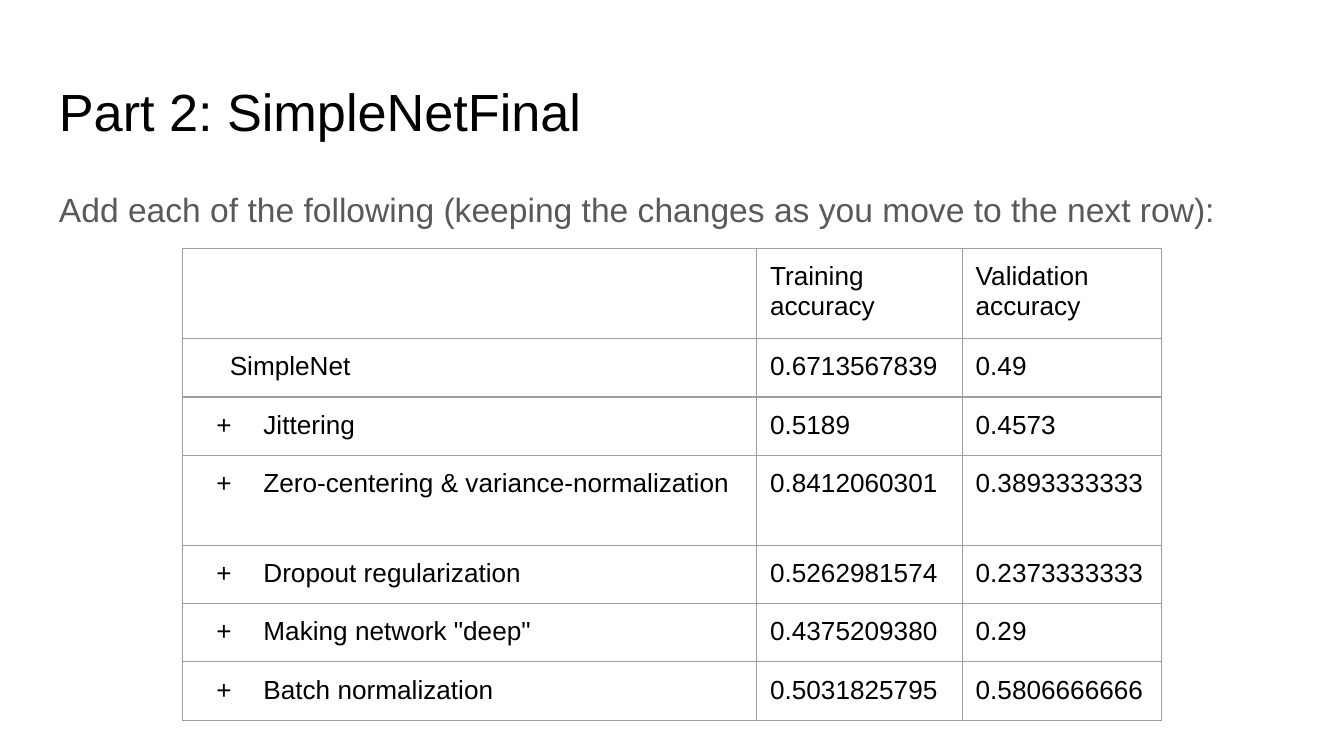
import lxml.etree
import pptx
import pptx.dml.color
import pptx.enum.text
import pptx.oxml.ns
import pptx.util

Inches = pptx.util.Inches
BLACK = pptx.dml.color.RGBColor(0x00, 0x00, 0x00)
GRAY = pptx.dml.color.RGBColor(0x59, 0x59, 0x59)
BORDER = pptx.dml.color.RGBColor(0x9E, 0x9E, 0x9E)

MARGINS = {f"margin_{side}": Inches(0.1) for side in ("left", "right", "top", "bottom")}
FRAME_FORMAT = {
    **MARGINS,
    "word_wrap": True,
    "vertical_anchor": pptx.enum.text.MSO_ANCHOR.TOP,
}
TITLE_FONT = {"name": "Arial", "size": pptx.util.Pt(28)}
BODY_FONT = {"name": "Arial", "size": pptx.util.Pt(18)}
CELL_FONT = {"name": "Arial", "size": pptx.util.Pt(14)}

SLIDE_WIDTH = 10
COLUMN_WIDTHS = [4.27, 1.53, 1.48]
ROW_HEIGHTS = [0.67, 0.43, 0.43, 0.67, 0.43, 0.42, 0.42]
HEADER = ("", "Training accuracy", "Validation accuracy")
BASELINE = ("SimpleNet", "0.6713567839", "0.49")
ADDITIONS = [
    ("Jittering", "0.5189", "0.4573"),
    ("Zero-centering & variance-normalization", "0.8412060301", "0.3893333333"),
    ("Dropout regularization", "0.5262981574", "0.2373333333"),
    ('Making network "deep"', "0.4375209380", "0.29"),
    ("Batch normalization", "0.5031825795", "0.5806666666"),
]


def apply_format(target, values):
    for name, value in values.items():
        setattr(target, name, value)


def add_child(parent, tag, **attributes):
    return lxml.etree.SubElement(parent, pptx.oxml.ns.qn(tag), attributes)


def write_text(paragraph, text, font, color):
    run = paragraph.add_run()
    run.text = text
    apply_format(run.font, font)
    run.font.color.rgb = color


def add_text(slide, text, box, font, color, line_spacing=1.0):
    shape = slide.shapes.add_textbox(*(Inches(length) for length in box))
    apply_format(shape.text_frame, FRAME_FORMAT)
    paragraph = shape.text_frame.paragraphs[0]
    paragraph.line_spacing = line_spacing
    write_text(paragraph, text, font, color)


def set_indent(paragraph, left, first_line=0.0, bullet=None):
    properties = paragraph._p.get_or_add_pPr()
    properties.set("marL", str(Inches(left)))
    properties.set("indent", str(Inches(first_line)))
    if bullet:
        bullet_color = add_child(properties, "a:buClr")
        add_child(bullet_color, "a:srgbClr", val=str(BLACK))
        add_child(properties, "a:buFont", typeface="Arial")
        add_child(properties, "a:buChar", char=bullet)


def set_borders(cell):
    properties = cell._tc.get_or_add_tcPr()
    for position, tag in enumerate(("a:lnL", "a:lnR", "a:lnT", "a:lnB")):
        line = add_child(properties, tag, w=str(pptx.util.Pt(0.75)))
        add_child(add_child(line, "a:solidFill"), "a:srgbClr", val=str(BORDER))
        properties.insert(position, line)


def fill_cell(cell, text):
    apply_format(cell, MARGINS)
    cell.fill.background()
    set_borders(cell)
    if text:
        write_text(cell.text_frame.paragraphs[0], text, CELL_FONT, BLACK)


def add_accuracy_table(slide, left, top):
    rows = [HEADER, BASELINE, *ADDITIONS]
    table = slide.shapes.add_table(
        len(rows), len(HEADER), Inches(left), Inches(top),
        Inches(sum(COLUMN_WIDTHS)), Inches(sum(ROW_HEIGHTS)),
    ).table
    apply_format(table, {"first_row": False, "horz_banding": False})
    for column, width in zip(table.columns, COLUMN_WIDTHS):
        column.width = Inches(width)
    for row, height, texts in zip(table.rows, ROW_HEIGHTS, rows):
        row.height = Inches(height)
        for cell, text in zip(row.cells, texts):
            fill_cell(cell, text)
    labels = [row.cells[0].text_frame.paragraphs[0] for row in table.rows]
    set_indent(labels[1], 0.25)
    for label in labels[2:]:
        set_indent(label, 0.5, -0.35, "+")


def main():
    presentation = pptx.Presentation()
    presentation.slide_width = Inches(SLIDE_WIDTH)
    presentation.slide_height = Inches(SLIDE_WIDTH * 9 / 16)
    slide = presentation.slides.add_slide(presentation.slide_layouts[6])
    add_text(slide, "Part 2: SimpleNetFinal", (0.34, 0.49, 9.32, 0.63), TITLE_FONT, BLACK)
    add_text(
        slide,
        "Add each of the following (keeping the changes as you move to the next row):",
        (0.34, 1.26, 9.32, 3.74), BODY_FONT, GRAY, 1.15,
    )
    add_accuracy_table(slide, 1.36, 1.85)
    presentation.save("out.pptx")


if __name__ == "__main__":
    main()
